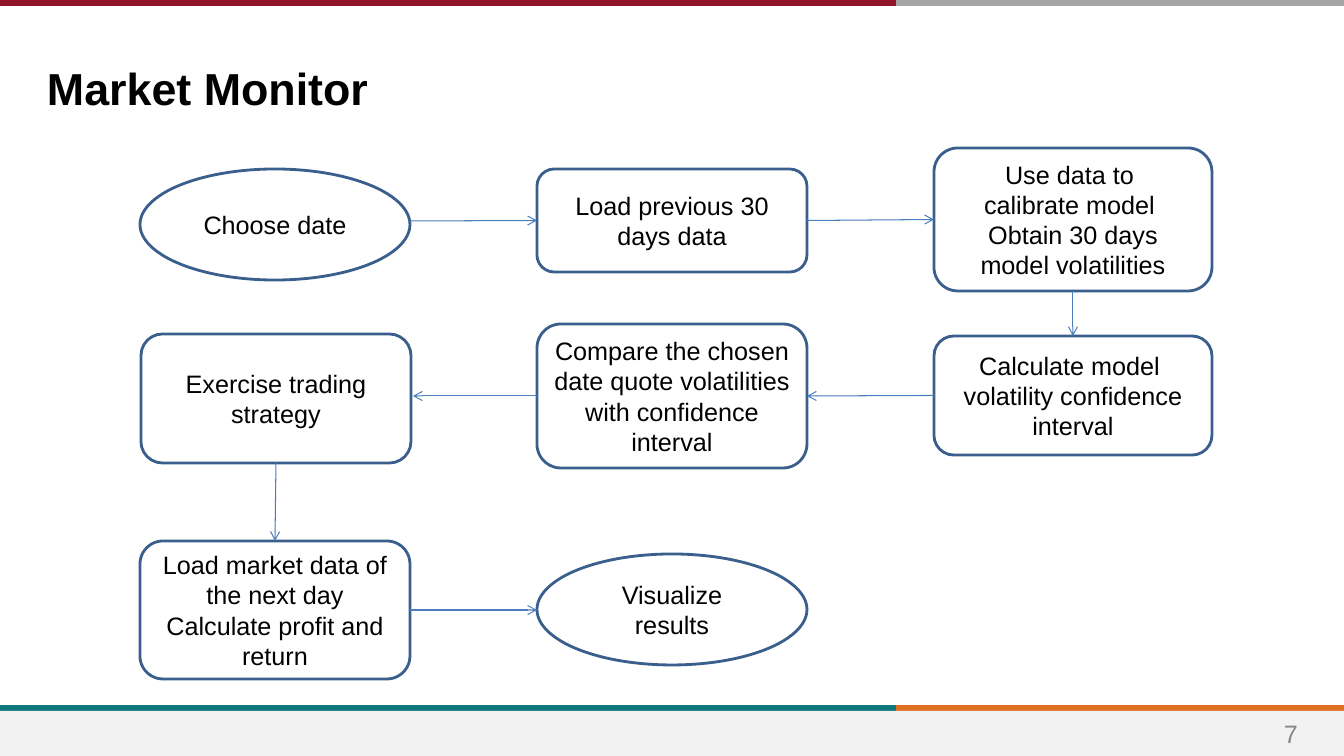
"""Build the Market Monitor flowchart slide."""
from lxml import etree
from pptx import Presentation
from pptx import util as u
from pptx.dml.color import RGBColor
from pptx.enum import shapes, text
from pptx.oxml.ns import qn

COLORS = {
    "red": "90152A", "gray": "A5A5A5", "teal": "0F787D", "orange": "DF7023",
    "footer": "F2F2F2", "white": "FFFFFF", "outline": "3A5F8C",
    "arrow": "4B7EBC", "black": "000000", "number": "888888",
}
EMU_PER_PX = 914400 / 100.8


def px(*lengths):
    return [u.Emu(round(length * EMU_PER_PX)) for length in lengths]


def add_line(start, end, color, points):
    line = slide.shapes.add_connector(
        shapes.MSO_CONNECTOR.STRAIGHT, *px(*start, *end))
    line.line.color.rgb = RGBColor.from_string(COLORS[color])
    line.line.width = u.Pt(points)
    etree.SubElement(line._element.spPr, qn("a:effectLst"))
    return line


presentation = Presentation()
presentation.slide_width, presentation.slide_height = px(1344, 756)
slide = presentation.slides.add_slide(presentation.slide_layouts[5])

for left, right, y, color in [
    (896, 1344, 708, "orange"), (0, 896, 708, "teal"),
    (896, 1344, 3, "gray"), (0, 896, 3, "red"),
]:
    add_line((left, y), (right, y), color, 4)

footer = slide.shapes.add_shape(
    shapes.MSO_SHAPE.RECTANGLE, *px(0, 711, 1344, 45))
footer.shadow.inherit = False
footer.fill.solid()
footer.fill.fore_color.rgb = RGBColor.from_string(COLORS["footer"])
footer.line.fill.background()

title = slide.shapes.title
title.left, title.top, title.width, title.height = px(37, 46, 1074, 59)
number = slide.shapes.add_textbox(*px(1256, 713, 70, 40))
for shape, words, size, color, alignment, anchor in [
    (title, "Market Monitor", 32, "black", text.PP_ALIGN.LEFT,
     text.MSO_ANCHOR.TOP),
    (number, "7", 18, "number", text.PP_ALIGN.CENTER, text.MSO_ANCHOR.MIDDLE),
]:
    frame = shape.text_frame
    frame.text = words
    frame.word_wrap = True
    frame.auto_size = text.MSO_AUTO_SIZE.NONE
    frame.vertical_anchor = anchor
    paragraph = frame.paragraphs[0]
    paragraph.alignment = alignment
    font = paragraph.runs[0].font
    font.name, font.size, font.bold = "Arial", u.Pt(size), shape is title
    font.color.rgb = RGBColor.from_string(COLORS[color])
title.text_frame.margin_left, title.text_frame.margin_top = px(10, 15)

OVAL = shapes.MSO_SHAPE.OVAL
ROUNDED = shapes.MSO_SHAPE.ROUNDED_RECTANGLE
steps = {}
for name, kind, box, words in [
    ("choose", OVAL, (140, 169, 270, 111), "Choose date"),
    ("load", ROUNDED, (537, 169, 270, 103), "Load previous 30 days data"),
    ("calibrate", ROUNDED, (934, 148, 278, 143),
     "Use data to \ncalibrate model \nObtain 30 days model volatilities"),
    ("interval", ROUNDED, (934, 336, 278, 119),
     "Calculate model  volatility confidence interval"),
    ("compare", ROUNDED, (537, 324, 270, 144),
     "Compare the chosen date quote volatilities with confidence interval"),
    ("trade", ROUNDED, (141, 334, 270, 129), "Exercise trading strategy"),
    ("profit", ROUNDED, (140, 541, 270, 138),
     "Load market data of the next day Calculate profit and return"),
    ("visualize", OVAL, (537, 554, 270, 111), "Visualize results"),
]:
    step = slide.shapes.add_shape(kind, *px(*box))
    step.shadow.inherit = False
    step.fill.solid()
    step.fill.fore_color.rgb = RGBColor.from_string(COLORS["white"])
    step.line.color.rgb = RGBColor.from_string(COLORS["outline"])
    step.line.width = u.Pt(2)
    frame = step.text_frame
    frame.text = words
    frame.word_wrap = True
    frame.vertical_anchor = text.MSO_ANCHOR.MIDDLE
    for paragraph in frame.paragraphs:
        paragraph.alignment = text.PP_ALIGN.CENTER
        font = paragraph.runs[0].font
        font.name, font.size = "Arial", u.Pt(18)
        font.color.rgb = RGBColor.from_string(COLORS["black"])
    steps[name] = step

TOP, LEFT, BOTTOM, RIGHT = range(4)
for start, end, source, target in [
    ((410, 221), (537, 221), None, ("load", LEFT)),
    ((807, 221), (934, 220), ("load", RIGHT), ("calibrate", LEFT)),
    ((1073, 291), (1073, 336), ("calibrate", BOTTOM), ("interval", TOP)),
    ((934, 395), (807, 396), ("interval", LEFT), ("compare", RIGHT)),
    ((537, 396), (413, 396), ("compare", LEFT), None),
    ((276, 463), (275, 541), ("trade", BOTTOM), ("profit", TOP)),
    ((410, 610), (537, 610), ("profit", RIGHT), None),
]:
    arrow = add_line(start, end, "arrow", 0.75)
    if source:
        arrow.begin_connect(steps[source[0]], source[1])
    if target:
        arrow.end_connect(steps[target[0]], target[1])
    etree.SubElement(arrow.line._get_or_add_ln(), qn("a:tailEnd"), type="arrow")

presentation.save("out.pptx")
